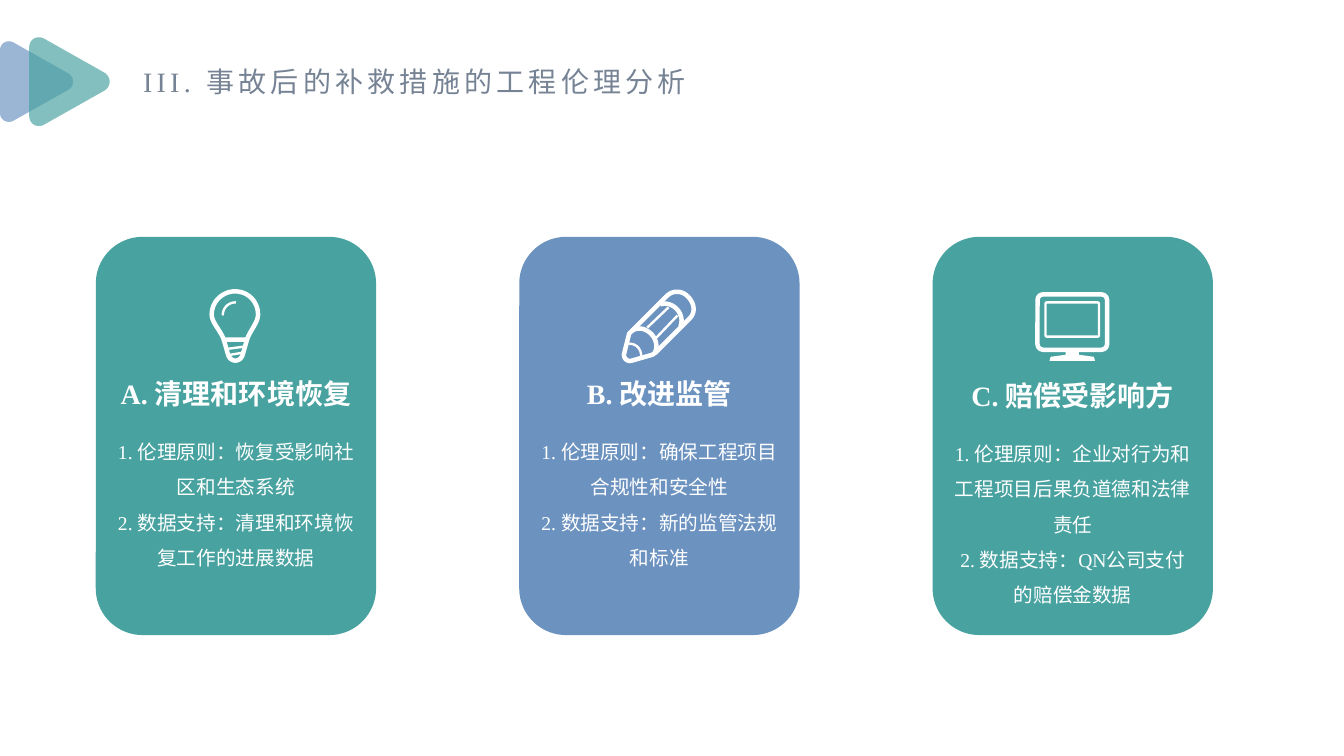
"""Build a slide with three cards on ethical remedies after an accident."""
from lxml import etree
from pptx import Presentation, util as u
from pptx.dml.color import RGBColor
from pptx.enum import shapes, text
from pptx.oxml import ns

TEAL = RGBColor(0x48, 0xA2, 0xA0)
BLUE = RGBColor(0x6C, 0x92, 0xC0)
GREY = RGBColor(0x76, 0x83, 0x94)
WHITE = RGBColor(0xFF, 0xFF, 0xFF)
FONT = "Times New Roman"
CARD_W, CARD_H, CARD_TOP = 2.78, 3.95, 2.35
THICK, THIN = 3.2, 1.7


def draw(parent, steps, fill=None, line=None, close=False):
    """Draw an outline; a step is a line end (x, y) or a cubic curve of six numbers."""
    pts = [steps[0]]
    for step in steps[1:]:
        if len(step) == 2:
            pts.append(step)
            continue
        knots = [pts[-1], step[:2], step[2:4], step[4:]]
        for i in range(1, 13):
            t = i / 12
            weights = ((1 - t) ** 3, 3 * t * (1 - t) ** 2, 3 * t * t * (1 - t), t ** 3)
            pts.append(tuple(sum(w * k[axis] for w, k in zip(weights, knots)) for axis in (0, 1)))
    pts = [(u.Inches(x), u.Inches(y)) for x, y in pts]
    builder = parent.build_freeform(*pts[0])
    builder.add_line_segments(pts[1:], close=close)
    sp = builder.convert_to_shape()
    sp.shadow.inherit = False
    if fill is None:
        sp.fill.background()
    else:
        sp.fill.solid()
        sp.fill.fore_color.rgb = fill
    if line is None:
        sp.line.fill.background()
    else:
        sp.line.color.rgb = WHITE
        sp.line.width = u.Pt(line)
    return sp


def write(sp, lines, size, color, bold=False, spacing=None, align=text.PP_ALIGN.CENTER):
    """Fill a box with paragraphs of one style."""
    tf = sp.text_frame
    tf.word_wrap = True
    tf.auto_size = text.MSO_AUTO_SIZE.SHAPE_TO_FIT_TEXT
    tf.text = "\n".join(lines)
    for p in tf.paragraphs:
        p.alignment = align
        p.line_spacing = spacing
        for r in p.runs:
            r.font.name = FONT
            r.font.size = u.Pt(size)
            r.font.bold = bold
            r.font.color.rgb = color


prs = Presentation()
prs.slide_width, prs.slide_height = u.Inches(13.33), u.Inches(7.5)
s = prs.slides.add_slide(prs.slide_layouts[5])

title = s.shapes.title
title.left, title.top, title.width, title.height = map(u.Inches, (1.32, 0.59, 5.89, 0.44))
write(title, ["III. 事故后的补救措施的工程伦理分析"], 20, GREY, align=text.PP_ALIGN.LEFT)
title.text_frame.word_wrap = False
title.text_frame.paragraphs[0].runs[0].font._element.set("spc", "300")

triangle = [(0.68, -0.08), (0.13, -0.39), (0.07, -0.42, 0, -0.38, 0, -0.31), (0, 0.31),
            (0, 0.38, 0.07, 0.42, 0.13, 0.39), (0.68, 0.08), (0.74, 0.04, 0.74, -0.04, 0.68, -0.08)]
arrows = s.shapes.add_group_shape().shapes
for left, scale, color in ((0, 1, BLUE), (0.29, 1.1, TEAL)):
    steps = [tuple(scale * v + (0.81 if i % 2 else left) for i, v in enumerate(step))
             for step in triangle]
    sp = draw(arrows, steps, fill=color, close=True)
    clr = sp.fill._xPr.find(".//" + ns.qn("a:srgbClr"))
    etree.SubElement(clr, ns.qn("a:alpha")).set("val", "68000")

cards = [
    (0.95, TEAL, 0, 2.67, "A. 清理和环境恢复",
     ["1. 伦理原则：恢复受影响社区和生态系统", "2. 数据支持：清理和环境恢复工作的进展数据"], 1.51),
    (5.15, BLUE, 0, 1.8, "B. 改进监管",
     ["1. 伦理原则：确保工程项目合规性和安全性", "2. 数据支持：新的监管法规和标准"], 1.51),
    (9.25, TEAL, 0.02, 2.38, "C. 赔偿受影响方",
     ["1. 伦理原则：企业对行为和工程项目后果负道德和法律责任",
      "2. 数据支持：QN公司支付的赔偿金数据"], 1.87),
]
for left, color, drop, head_w, heading, points, body_h in cards:
    card = s.shapes.add_shape(shapes.MSO_SHAPE.ROUNDED_RECTANGLE,
                              *map(u.Inches, (left, CARD_TOP, CARD_W, CARD_H)))
    card.shadow.inherit = False
    card.fill.solid()
    card.fill.fore_color.rgb = color
    card.line.fill.background()
    middle = left + CARD_W / 2
    for top, width, height, lines, size, bold, spacing in (
            (3.69, head_w, 0.44, [heading], 20, True, None),
            (4.2, 2.58, body_h, points, 14, False, 1.5)):
        box = s.shapes.add_textbox(*map(u.Inches, (middle - width / 2, top + drop, width, height)))
        write(box, lines, size, WHITE, bold, spacing)

bulb = [
    (THICK, True, [(2.22, 3.37), (2.19, 3.28, 2.1, 3.2, 2.1, 3.12), (2.1, 2.99, 2.21, 2.89, 2.33, 2.89),
                   (2.46, 2.89, 2.56, 2.99, 2.56, 3.12), (2.56, 3.2, 2.48, 3.28, 2.45, 3.37)]),
    (THICK, False, [(2.22, 3.37), (2.26, 3.51), (2.28, 3.6, 2.39, 3.6, 2.41, 3.51), (2.45, 3.37)]),
    (THIN, False, [(2.26, 3.46), (2.41, 3.44)]),
    (THIN, False, [(2.28, 3.52), (2.4, 3.5)]),
    (THIN, False, [(2.21, 3.13), (2.21, 3.06, 2.26, 3, 2.34, 3)]),
]
pencil = [
    (THICK, True, [(6.19, 3.51), (6.24, 3.31), (6.61, 2.94), (6.68, 2.87, 6.77, 2.89, 6.82, 2.94),
                   (6.89, 3.01, 6.9, 3.1, 6.84, 3.16), (6.5, 3.5), (6.47, 3.52), (6.26, 3.58),
                   (6.22, 3.59, 6.18, 3.55, 6.19, 3.51)]),
    (THICK, False, [(6.55, 3.02), (6.66, 2.98, 6.8, 3.1, 6.75, 3.24)]),
    (THICK, False, [(6.27, 3.28), (6.4, 3.2, 6.57, 3.37, 6.49, 3.51)]),
    (THIN, False, [(6.42, 3.25), (6.63, 3.05)]),
    (THIN, False, [(6.51, 3.35), (6.72, 3.13)]),
    (THIN, False, [(6.24, 3.41), (6.31, 3.41, 6.36, 3.46, 6.36, 3.54)]),
]
for icon in (bulb, pencil):
    group = s.shapes.add_group_shape().shapes
    for width, close, steps in icon:
        draw(group, steps, line=width, close=close)

monitor = s.shapes.add_group_shape().shapes
for left, top, width, height, rounding, weight in (
        (10.29, 2.92, 0.69, 0.55, 0.1, THICK), (10.37, 3, 0.53, 0.34, 0.04, THIN)):
    frame = monitor.add_shape(shapes.MSO_SHAPE.ROUNDED_RECTANGLE,
                              *map(u.Inches, (left, top, width, height)))
    frame.adjustments[0] = rounding
    frame.shadow.inherit = False
    frame.fill.background()
    frame.line.color.rgb = WHITE
    frame.line.width = u.Pt(weight)
draw(monitor, [(10.57, 3.47), (10.7, 3.47), (10.7, 3.52), (10.85, 3.54), (10.86, 3.58),
               (10.41, 3.58), (10.42, 3.54), (10.57, 3.52)], fill=WHITE, close=True)

prs.save("out.pptx")
